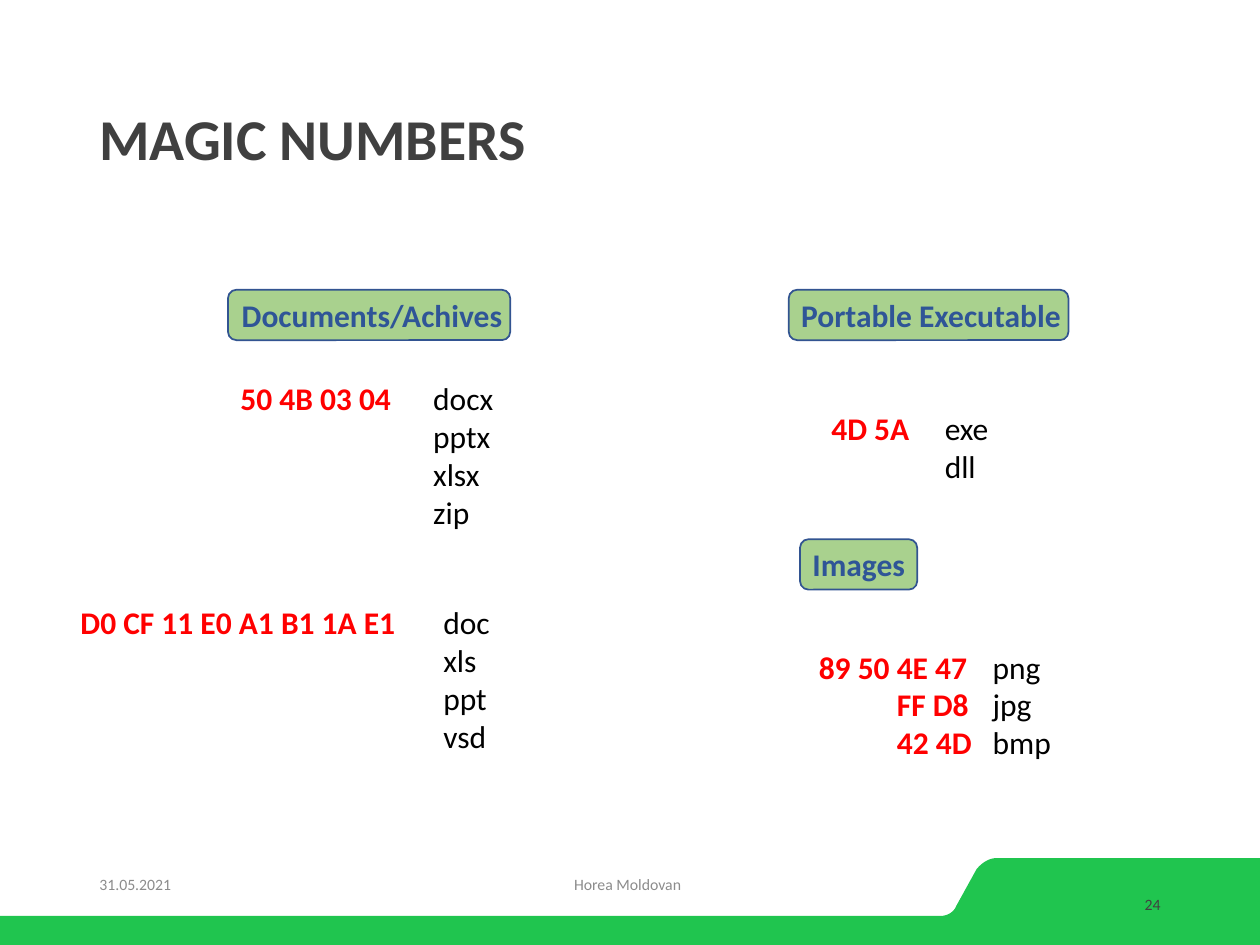
import pptx
import pptx.util
import pptx.dml.color
import pptx.enum.shapes
import pptx.enum.text
from dataclasses import dataclass
from lxml import etree
from pptx.util import Inches

ALIGN = pptx.enum.text.PP_ALIGN
ANCHOR = pptx.enum.text.MSO_ANCHOR
NS = "{http://schemas.openxmlformats.org/drawingml/2006/main}"
FONT = "Calibri"
RED, BLACK = "FF0000", "000000"


@dataclass
class Label:
    text: str
    left: float
    top: float
    width: float
    pill: tuple  # left and width of the rounded box


@dataclass
class Line:
    text: str
    box: tuple
    size: int
    color: str
    align: object = ALIGN.LEFT
    bold: bool = False
    space: float = 1.0


@dataclass
class Group:
    box: tuple
    stops: tuple  # tab stops from the left of the text
    rows: list  # code and file type


LABELS = [
    Label("Documents/Achives", 1.82, 2.3, 2.28, (1.81, 2.24)),
    Label("Portable Executable", 6.26, 2.3, 2.28, (6.26, 2.22)),
    Label("Images", 6.35, 4.28, 0.94, (6.35, 0.93)),
]
LINES = [
    Line("MAGIC NUMBERS", (0.69, 0.4, 8.62, 1.45), 33, "404040", bold=True, space=0.9),
    Line("31.05.2021", (0.69, 6.82, 2.25, 0.4), 9, "8C8C8C"),
    Line("Horea Moldovan", (3.29, 6.82, 3.38, 0.4), 9, "8C8C8C", ALIGN.CENTER),
    Line("24", (7.06, 6.98, 2.25, 0.4), 9, "404040", ALIGN.RIGHT),
]
GROUPS = [
    Group((1.81, 2.96, 2.23, 1.31), (1.53,),
          [("50 4B 03 04", "docx"), ("", "pptx"), ("", "xlsx"), ("", "zip")]),
    Group((0.54, 4.74, 3.5, 1.31), (2.88,),
          [("D0 CF 11 E0 A1 B1 1A E1", "doc"), ("", "xls"), ("", "ppt"), ("", "vsd")]),
    Group((6.5, 3.2, 1.46, 0.71), (0.9,), [("4D 5A", "exe"), ("", "dll")]),
    Group((6.4, 5.09, 2.08, 1.31), (0.62, 1.38),
          [("89 50 4E 47", "png"), ("\tFF D8", "jpg"), ("\t42 4D", "bmp")]),
]


def tint(item, color: str) -> None:
    """Colour a fill; lines and fonts expose the same colour through it."""
    item.fill.solid()
    item.fill.fore_color.rgb = pptx.dml.color.RGBColor.from_string(color)


def style(para, size: int) -> None:
    para.font.name = FONT
    para.font.size = pptx.util.Pt(size)


def frame(slide, box: tuple, wrap: bool = True):
    text = slide.shapes.add_textbox(*map(Inches, box)).text_frame
    text.word_wrap = wrap
    return text


def curve(a: tuple, b: tuple, c: tuple, d: tuple, steps: int = 12) -> list:
    """Points along a cubic curve from a to d."""
    pts = []
    for i in range(steps + 1):
        t = i / steps
        u = 1 - t
        mix = (u**3, 3 * u * u * t, 3 * u * t * t, t**3)
        pts.append(tuple(sum(m * p[k] for m, p in zip(mix, (a, b, c, d)))
                         for k in (0, 1)))
    return pts


def draw_band(slide) -> None:
    pts = curve((7.91, 6.81), (7.85, 6.81), (7.79, 6.85), (7.75, 6.9))
    pts += curve((7.59, 7.19), (7.57, 7.24), (7.52, 7.27), (7.46, 7.27))
    pts += [(0, 7.27), (0, 7.5), (10, 7.5), (10, 6.81)]
    pts = [(Inches(x), Inches(y)) for x, y in pts]
    form = slide.shapes.build_freeform(*pts[0])
    form.add_line_segments(pts[1:], close=True)
    band = form.convert_to_shape()
    band.shadow.inherit = False
    tint(band, "20C54F")
    band.line.fill.background()


def draw_label(slide, label: Label) -> None:
    left, width = label.pill
    pill = slide.shapes.add_shape(
        pptx.enum.shapes.MSO_SHAPE.ROUNDED_RECTANGLE,
        Inches(left), Inches(label.top), Inches(width), Inches(0.4))
    pill.shadow.inherit = False
    tint(pill, "A9D18E")
    tint(pill.line, "325491")
    pill.line.width = pptx.util.Pt(1)
    text = frame(slide, (label.left, label.top, label.width, 0.4), False)
    para = text.paragraphs[0]
    para.text = label.text
    style(para, 18)
    para.font.bold = True
    tint(para.font, "2F5597")


def draw_line(slide, line: Line) -> None:
    text = frame(slide, line.box)
    text.vertical_anchor = ANCHOR.MIDDLE
    para = text.paragraphs[0]
    para.text = line.text
    para.alignment = line.align
    para.line_spacing = line.space
    style(para, line.size)
    para.font.bold = line.bold
    tint(para.font, line.color)


def add_run(para, words: str, color: str, bold: bool) -> None:
    run = para.add_run()
    run.text = words
    run.font.bold = bold
    tint(run.font, color)


def draw_group(slide, group: Group) -> None:
    text = frame(slide, group.box)
    for i, (code, kind) in enumerate(group.rows):
        para = text.add_paragraph() if i else text.paragraphs[0]
        # Tab stops come before the paragraph font in the XML
        tabs = etree.SubElement(para._p.get_or_add_pPr(), NS + "tabLst")
        for stop in group.stops:
            etree.SubElement(tabs, NS + "tab", pos=str(Inches(stop)), algn="l")
        style(para, 18)
        if code:
            add_run(para, code, RED, True)
        add_run(para, "\t" + kind, BLACK, False)


def main() -> None:
    deck = pptx.Presentation()
    deck.slide_width, deck.slide_height = Inches(10), Inches(7.5)
    slide = deck.slides.add_slide(deck.slide_layouts[6])
    # Footer band, then the text upon it
    draw_band(slide)
    for line in LINES:
        draw_line(slide, line)
    # Headings and their signatures
    for label in LABELS:
        draw_label(slide, label)
    for group in GROUPS:
        draw_group(slide, group)
    deck.save("out.pptx")


if __name__ == "__main__":
    main()
